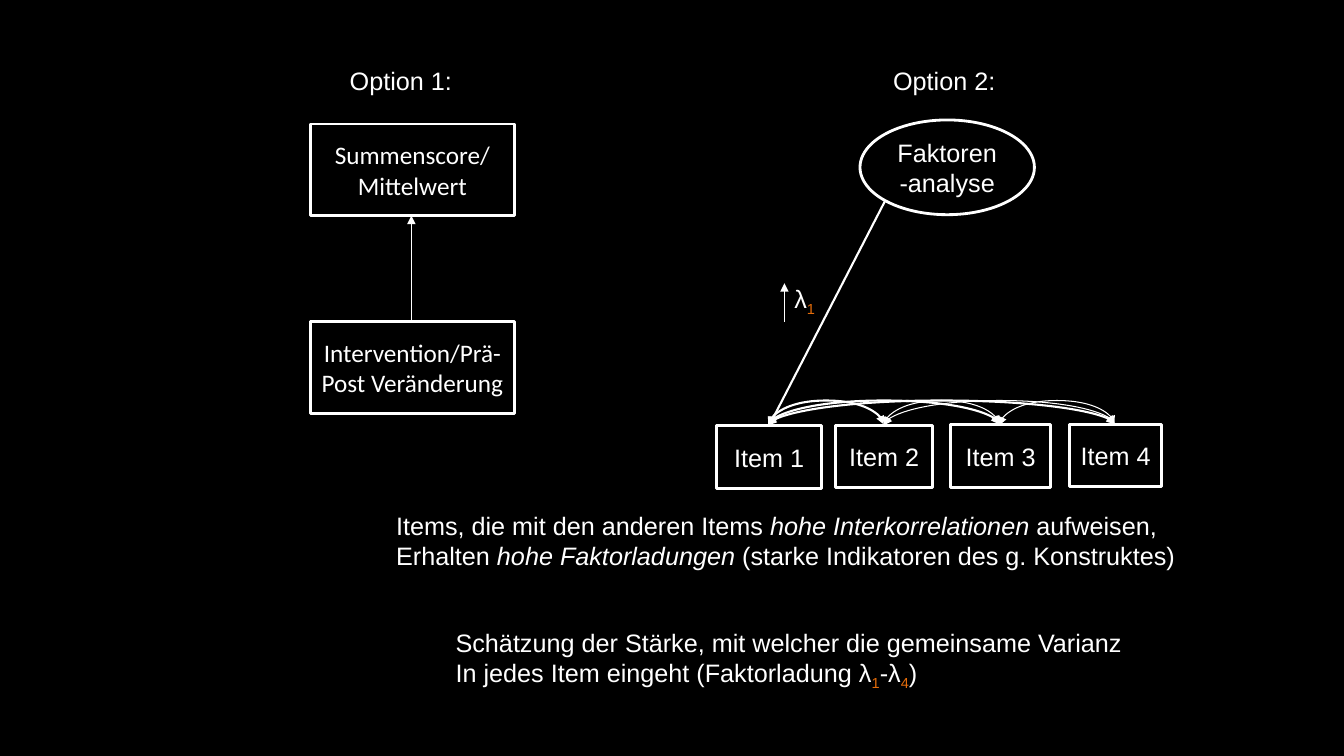
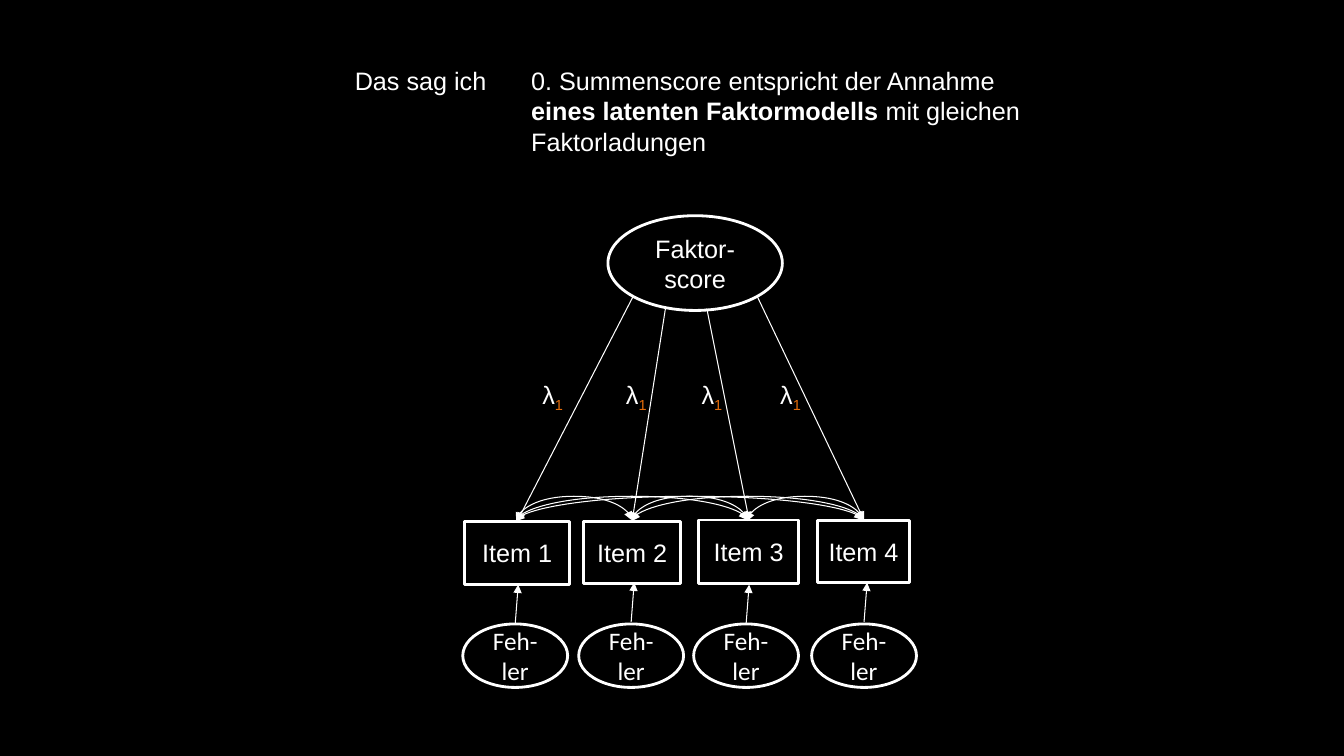
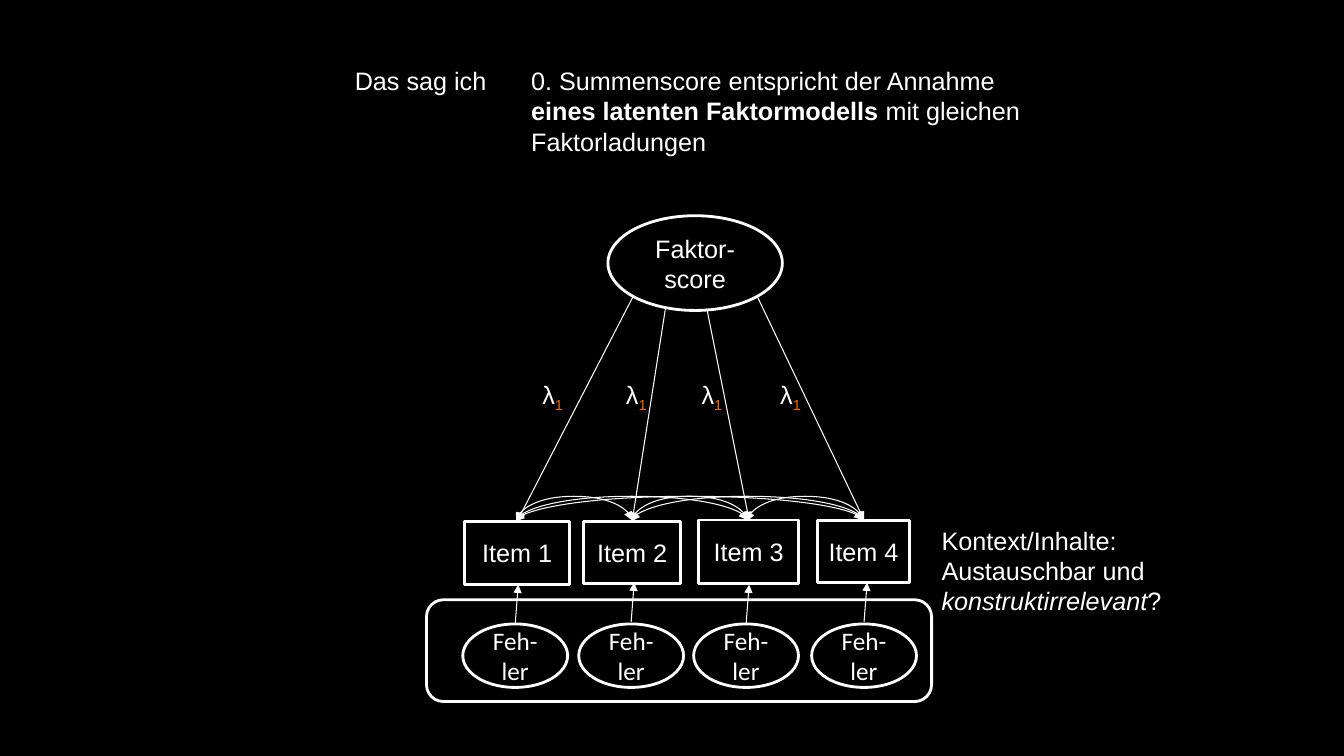
from lxml import etree
from pptx import Presentation
from pptx.dml.color import RGBColor
from pptx.enum import shapes, text
from pptx.oxml import ns
from pptx.util import Inches, Pt

BLACK = RGBColor(0x00, 0x00, 0x00)
WHITE = RGBColor(0xFF, 0xFF, 0xFF)
ORANGE = RGBColor(0xE4, 0x6C, 0x0A)
SANS, BODY = "Arial", "Calibri"
RECT = shapes.MSO_SHAPE.RECTANGLE
OVAL = shapes.MSO_SHAPE.OVAL
ROUND = shapes.MSO_SHAPE.ROUNDED_RECTANGLE
STRAIGHT = shapes.MSO_CONNECTOR.STRAIGHT
CURVE = shapes.MSO_CONNECTOR.CURVE
THIN, THICK = 0.75, 1.5

ITEMS = [(0, 3.03, 1.04, 0.63), (1.18, 3.03, 0.96, 0.62),
         (2.32, 3.02, 0.99, 0.63), (3.5, 3.02, 0.91, 0.62)]
LOADINGS = [((1.67, 0.8), (0.52, 3.03), 0.67), ((1.99, 0.92), (1.66, 3.03), 1.5),
            ((2.4, 0.92), (2.82, 3.02), 2.25), ((2.9, 0.8), (3.96, 3.02), 3.03)]
ERRORS = [(-0.02, 4.05), (1.13, 4.03), (2.27, 4.05), (3.44, 4.03)]
LAMBDA = [("λ", ""), ("1", "sub")]


def new_slide(prs):
    """Add an empty slide with a black background."""
    s = prs.slides.add_slide(prs.slide_layouts[6])
    s.background.fill.solid()
    s.background.fill.fore_color.rgb = BLACK
    return s


def write(tf, paragraphs, font=SANS, align=None):
    """Fill a text frame with paragraphs, each a list of (text, style) runs."""
    tf.word_wrap = True
    for i, runs in enumerate(paragraphs):
        p = tf.paragraphs[0] if i == 0 else tf.add_paragraph()
        p.alignment = align
        p.font.name, p.font.size, p.font.color.rgb = font, Pt(18), WHITE
        for words, style in runs:
            r = p.add_run()
            r.text = words
            if style == "i":
                r.font.italic = True
            elif style == "b":
                r.font.bold = True
            elif style == "sub":
                r.font.color.rgb = ORANGE
                r.font._element.set("baseline", "-25000")


def label(s, x, y, w, h, *paragraphs):
    """Place a text box."""
    tf = s.shapes.add_textbox(Inches(x), Inches(y), Inches(w), Inches(h)).text_frame
    write(tf, paragraphs)
    tf.auto_size = text.MSO_AUTO_SIZE.SHAPE_TO_FIT_TEXT


def node(s, kind, x, y, w, h, lines=(), font=SANS):
    """Place an outlined shape with centred text."""
    sp = s.shapes.add_shape(kind, Inches(x), Inches(y), Inches(w), Inches(h))
    sp.shadow.inherit = False
    sp.fill.background()
    sp.line.color.rgb, sp.line.width = WHITE, Pt(2)
    sp.text_frame.vertical_anchor = text.MSO_ANCHOR.MIDDLE
    write(sp.text_frame, [[(line, "")] for line in lines], font, text.PP_ALIGN.CENTER)


def arrow(s, x1, y1, x2, y2, weight=THIN, kind=STRAIGHT, ends=("tailEnd",)):
    """Draw a white connector with triangular arrowheads."""
    cn = s.shapes.add_connector(kind, Inches(x1), Inches(y1), Inches(x2), Inches(y2))
    cn.line.color.rgb, cn.line.width = WHITE, Pt(weight)
    for end in ends:
        etree.SubElement(cn.line._get_or_add_ln(), ns.qn("a:" + end), type="triangle")
    etree.SubElement(cn._element.spPr, ns.qn("a:effectLst"))
    return cn


def arc(s, x1, x2, y, weight, lift=0.25, drop=0.01):
    """Draw a double-headed arc that rises above two points on a level."""
    cx, cy, half = (x1 + x2) / 2, y - drop / 2, (x2 - x1) / 2
    cn = arrow(s, cx + drop / 2, cy + half, cx - drop / 2, cy - half,
               weight, CURVE, ("headEnd", "tailEnd"))
    spPr = cn._element.spPr
    spPr.find(ns.qn("a:xfrm")).set("rot", "5400000")
    geom = spPr.find(ns.qn("a:prstGeom"))
    av = geom.find(ns.qn("a:avLst"))
    if av is None:
        av = etree.SubElement(geom, ns.qn("a:avLst"))
    etree.SubElement(av, ns.qn("a:gd"), name="adj1", fmla=f"val {round(lift / drop * 100000)}")


def factor_model(s, x, y, name, loadings=LOADINGS, weight=THIN):
    """Draw a factor above four correlated items, with its loadings."""
    node(s, OVAL, x + 1.42, y, 1.73, 0.94, [name])
    for i, (dx, dy, w, h) in enumerate(ITEMS):
        node(s, RECT, x + dx, y + dy, w, h, [f"Item {i + 1}"])
        for j in range(i + 1, len(ITEMS)):
            heavy = i == 0 and j > 0
            arc(s, x + 0.51 + 1.145 * i, x + 0.51 + 1.145 * j, y + 3.03,
                weight if heavy else THIN)
    for (x1, y1), (x2, y2), tag in loadings:
        arrow(s, x + x1, y + y1, x + x2, y + y2, weight)
        label(s, x + tag, y + 1.57, 0.78, 0.4, LAMBDA)


def error_terms(s, x, y):
    """Draw an error term below each item."""
    for dx, dy in ERRORS:
        node(s, OVAL, x + dx, y + 4.05, 1.04, 0.63, ["Feh-ler"], BODY)
        arrow(s, x + dx + 0.52, y + dy, x + dx + 0.55, y + dy - 0.39)


def sum_score(s, x, y):
    """Draw the intervention acting on the sum score."""
    node(s, RECT, x, y, 2.02, 0.91, ["Summenscore/", "Mittelwert"], BODY)
    node(s, RECT, x, y + 1.96, 2.02, 0.91, ["Intervention/Prä-Post Veränderung"], BODY)
    arrow(s, x + 1, y + 1.96, x + 1, y + 0.91)


def options_slide(prs):
    """Compare the sum score with the factor analysis."""
    s = new_slide(prs)
    for i, x in enumerate((3.37, 8.76)):
        label(s, x, 0.6, 1.32, 0.4, [(f"Option {i + 1}:", "")])
    sum_score(s, 3.08, 1.23)
    factor_model(s, 7.11, 1.19, "Faktoren-analyse", LOADINGS[:1], THICK)
    arrow(s, 7.78, 3.19, 7.78, 2.81)
    label(s, 3.83, 5.01, 8.21, 0.71,
          [("Items, die mit den anderen Items ", ""), ("hohe Interkorrelationen ", "i"),
           ("aufweisen,", "")],
          [("Erhalten ", ""), ("hohe Faktorladungen ", "i"),
           ("(starke Indikatoren des g. Konstruktes)", "")])
    label(s, 4.42, 6.17, 8.21, 0.71,
          [("Schätzung der Stärke, mit welcher die gemeinsame Varianz", "")],
          [("In jedes Item eingeht (Faktorladung λ", ""), ("1", "sub"),
           ("-λ", ""), ("4", "sub"), (")", "")])


def score_slide(prs):
    """Show the factor model that a sum score implies."""
    s = new_slide(prs)
    label(s, 3.42, 0.6, 1.72, 0.4, [("Das sag ich", "")])
    label(s, 5.17, 0.6, 5.33, 1.01,
          [("0. Summenscore entspricht der Annahme ", ""),
           ("eines latenten Faktormodells ", "b"), ("mit gleichen Faktorladungen", "")])
    factor_model(s, 4.61, 2.14, "Faktor-score")
    error_terms(s, 4.61, 2.14)
    return s


def context_note(s, x, y):
    """Frame the error terms and question their content."""
    node(s, ROUND, x, y, 5.01, 1.01)
    label(s, x + 5.01, y - 0.79, 2.43, 1.01,
          [("Kontext/Inhalte:", "")],
          [("Austauschbar und ", ""), ("konstruktirrelevant", "i"), ("?", "")])


def main():
    """Build and save the presentation."""
    prs = Presentation()
    prs.slide_width, prs.slide_height = Inches(13.33), Inches(7.5)
    options_slide(prs)
    score_slide(prs)
    context_note(score_slide(prs), 4.23, 5.95)
    prs.save("out.pptx")


if __name__ == "__main__":
    main()
